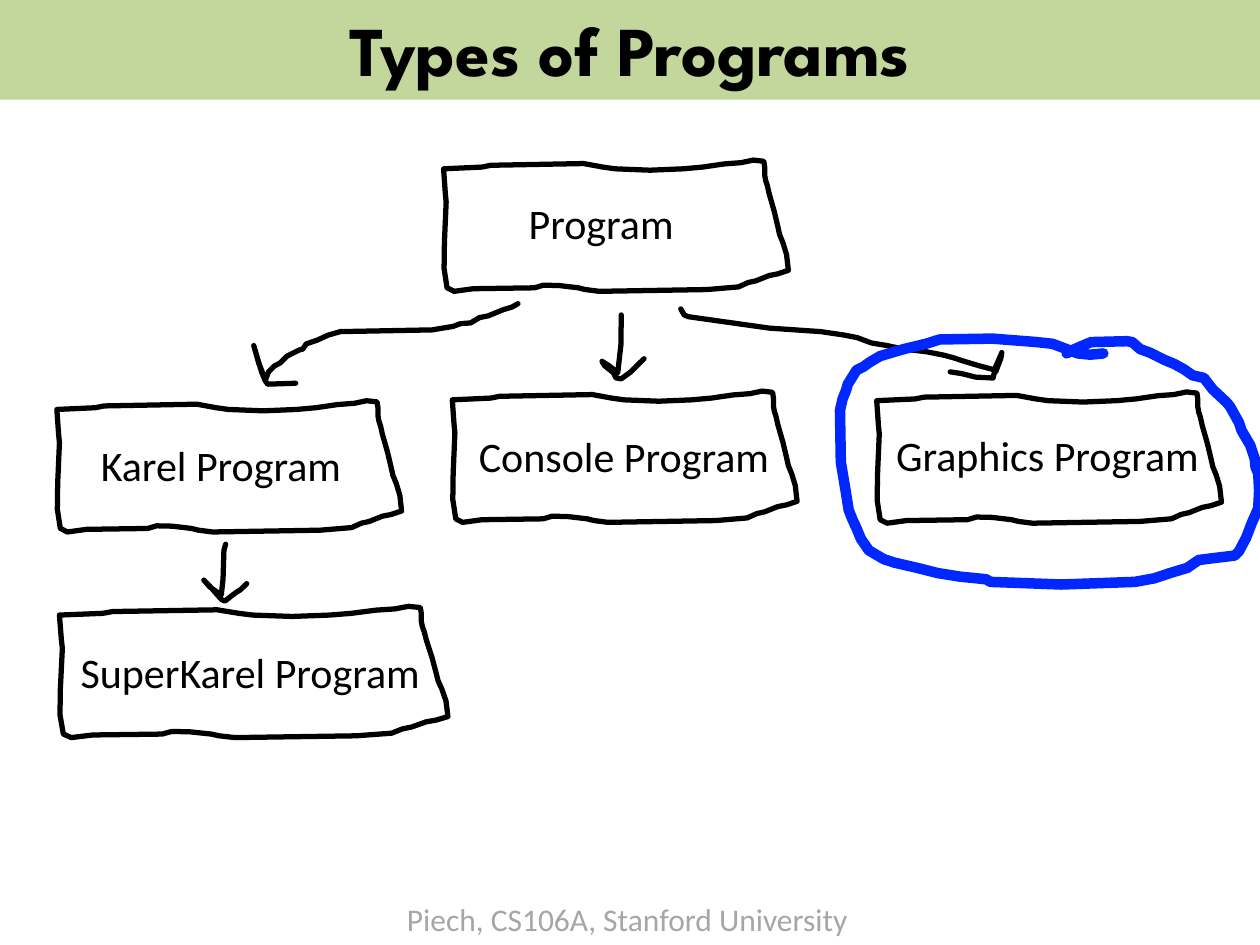
from dataclasses import dataclass
from lxml import etree
from pptx import Presentation
from pptx.dml.color import RGBColor as Color
from pptx.enum.shapes import MSO_SHAPE as Preset
from pptx.enum.text import MSO_ANCHOR as Anchor, MSO_AUTO_SIZE as Fit, PP_ALIGN as Align
from pptx.oxml.ns import qn
from pptx.util import Pt


@dataclass(frozen=True)
class Theme:
    band: Color = Color(0xC3, 0xD6, 0x9B)
    ink: Color = Color(0, 0, 0)
    muted: Color = Color(0xA6, 0xA6, 0xA6)
    marker: Color = Color(0, 0x27, 0xFF)
    heading_font: str = "League Spartan"
    body_font: str = "Calibri"
    heading_size: float = 40
    label_size: float = 24
    footer_size: float = 18
    pen: float = 3
    marker_pen: float = 6


THEME = Theme()
NODE_WIDTH, NODE_HEIGHT = 197, 75.5

NODE_OUTLINE = [
    (137, 5), (118, 5.8), (98, 5), (91, 4), (80, 2), (27, 3), (22, 4), (0, 5),
    (1, 19), (1.5, 24), (0.5, 47), (0.3, 62), (2, 73), (6, 75), (17, 73.5),
    (52, 73), (57, 71.5), (66, 71.7), (77, 73), (81, 74), (89, 75), (150.5, 74),
    (168.5, 72.5), (174, 70), (178.5, 69), (186, 66), (191, 65), (197, 63),
    (196, 54), (194, 47.5), (192, 42.5), (191, 38), (189, 29.5), (186, 19),
    (185, 14.5), (184, 11.5), (183.5, 8.5), (183.5, 4), (183, 0.7), (177, 0),
    (170, 1.5), (160.5, 2.2), (148, 4),
]

NODES = [
    ("Program", (253.5, 91.5, NODE_WIDTH), (41.5, 18, 98)),
    ("Karel Program", (32.5, 229, NODE_WIDTH), (18, 18.5, 153)),
    ("Console Program", (258.5, 223.5, NODE_WIDTH), (8, 19, 181)),
    ("Graphics Program", (501, 224, NODE_WIDTH), (4, 18, 189)),
    ("SuperKarel Program", (34, 346.5, 222), (5, 19.5, 210)),
]

ARROWS = [
    ((145, 173.5), [
        (151, 0), (147.5, 2), (142.5, 3.5), (134, 7), (129, 8), (124, 11),
        (118, 11.5), (114, 13), (102, 15), (49.5, 16), (42.5, 18), (36, 21),
        (30, 23), (28, 26), (26, 26.5), (19, 30), (15, 34), (12, 35.5),
        (8.5, 39), (6.5, 44), (4.5, 39), (3, 34), (0, 24), (3, 34.5),
        (4.5, 38), (6.5, 44), (8, 46), (24, 45.5)]),
    ((344, 180), [
        (11, 0), (10.8, 17), (9, 33), (4, 29), (0, 26.5), (1.5, 29), (6.5, 33),
        (8, 36), (11, 36.5), (16.5, 32.5), (20, 29), (24, 25)]),
    ((389, 176.5), [
        (0, 0), (2, 3.5), (4.5, 4.5), (50.5, 11), (80, 13), (93.5, 15),
        (101, 16.5), (109, 19.5), (118, 21), (127.5, 23), (140.5, 24.5),
        (150.5, 26.5), (156, 28), (162, 30), (170.5, 32.5), (178, 34.5),
        (180, 36), (183, 28), (183.5, 25), (180, 33), (178.5, 39.5),
        (168.5, 39), (160.5, 37), (154, 36)]),
    ((116.5, 311), [
        (12.5, 0), (11.5, 3.5), (11, 20), (10, 29), (3.5, 24.5), (0, 20.5),
        (3, 23.5), (10, 31.5), (12, 32.5), (16.5, 29), (18.5, 27.5), (21, 26),
        (24.5, 22.5)]),
]

HIGHLIGHT = [
    (150.5, 8.5), (143, 9.2), (136, 8.5), (121.5, 3), (112.5, 2), (87, 0),
    (57, 0.5), (49, 3), (36.5, 6), (28, 8.5), (23, 10), (17, 13.5), (13.5, 16),
    (9.5, 18), (4.5, 26), (3.5, 29.5), (1.5, 34.5), (0, 41), (0.5, 70.5),
    (3, 85.5), (5, 98), (7, 103), (9.5, 108.5), (12, 114.5), (16.5, 121),
    (25, 126), (31, 128), (44, 131), (56, 134), (68.5, 136), (83.5, 137.5),
    (86, 139), (126.5, 140.5), (168.5, 139), (179.5, 137), (188.5, 134),
    (198.5, 131), (205, 126.5), (213, 125.5), (225.5, 124), (228, 121.5),
    (232, 114), (235.5, 105), (239, 97), (239.5, 87), (239, 77), (237.5, 73.5),
    (237, 68.5), (234.5, 61), (233, 58.5), (229.5, 52.5), (228, 48), (223, 39),
    (221, 36.5), (213, 29), (208, 22.5), (201.5, 21), (196.5, 17.5),
    (191, 14.5), (185, 12), (177, 8), (171.5, 6), (167, 2), (164, 1.5),
    (143.5, 2), (137.5, 4.5), (133, 6.5), (129.5, 8.5),
]


def write(frame, text, font, size, color, bold=False, align=Align.LEFT):
    para = frame.paragraphs[0]
    para.alignment = align
    span = para.add_run()
    span.text = text
    span.font.name, span.font.size, span.font.bold = font, Pt(size), bold
    span.font.color.rgb = color


def add_label(page, box, text, size, color):
    frame = page.shapes.add_textbox(*map(Pt, box)).text_frame
    frame.word_wrap = False
    frame.auto_size = Fit.SHAPE_TO_FIT_TEXT
    write(frame, text, THEME.body_font, size, color)


def add_stroke(page, origin, points, color=THEME.ink, width=THEME.pen, closed=False):
    left, top = origin
    start, *rest = [(Pt(left + x), Pt(top + y)) for x, y in points]
    builder = page.shapes.build_freeform(*start)
    builder.add_line_segments(rest, close=closed)
    stroke = builder.convert_to_shape()
    stroke.shadow.inherit = False
    stroke.fill.background()
    stroke.line.color.rgb = color
    stroke.line.width = Pt(width)
    pen = stroke.line._get_or_add_ln()
    pen.set("cap", "rnd")
    etree.SubElement(pen, qn("a:round"))


def add_title(page, box, text):
    band = page.shapes.add_shape(Preset.RECTANGLE, *map(Pt, box))
    band.shadow.inherit = False
    band.fill.solid()
    band.fill.fore_color.rgb = THEME.band
    band.line.fill.background()
    band.text_frame.vertical_anchor = Anchor.MIDDLE
    write(band.text_frame, text, THEME.heading_font, THEME.heading_size,
          THEME.ink, bold=True, align=Align.CENTER)


def add_node(page, box, label_box, text):
    left, top, width = box
    label_left, label_top, label_width = label_box
    outline = [(x * width / NODE_WIDTH, y) for x, y in NODE_OUTLINE]
    add_stroke(page, (left, top), outline, closed=True)
    add_label(page, (left + label_left, top + label_top, label_width, 36),
              text, THEME.label_size, THEME.ink)


def add_hierarchy(page):
    for text, box, label_box in NODES:
        add_node(page, box, label_box, text)
    for origin, points in ARROWS:
        add_stroke(page, origin, points)
    add_stroke(page, (480, 193.5), HIGHLIGHT, THEME.marker, THEME.marker_pen)


def main():
    deck = Presentation()
    deck.slide_width, deck.slide_height = Pt(720), Pt(540)
    page = deck.slides.add_slide(deck.slide_layouts[6])
    add_label(page, (225.5, 511, 269, 29), "Piech, CS106A, Stanford University",
              THEME.footer_size, THEME.muted)
    add_title(page, (0, -2, 720, 59), "Types of Programs")
    add_hierarchy(page)
    deck.save("out.pptx")


if __name__ == "__main__":
    main()
